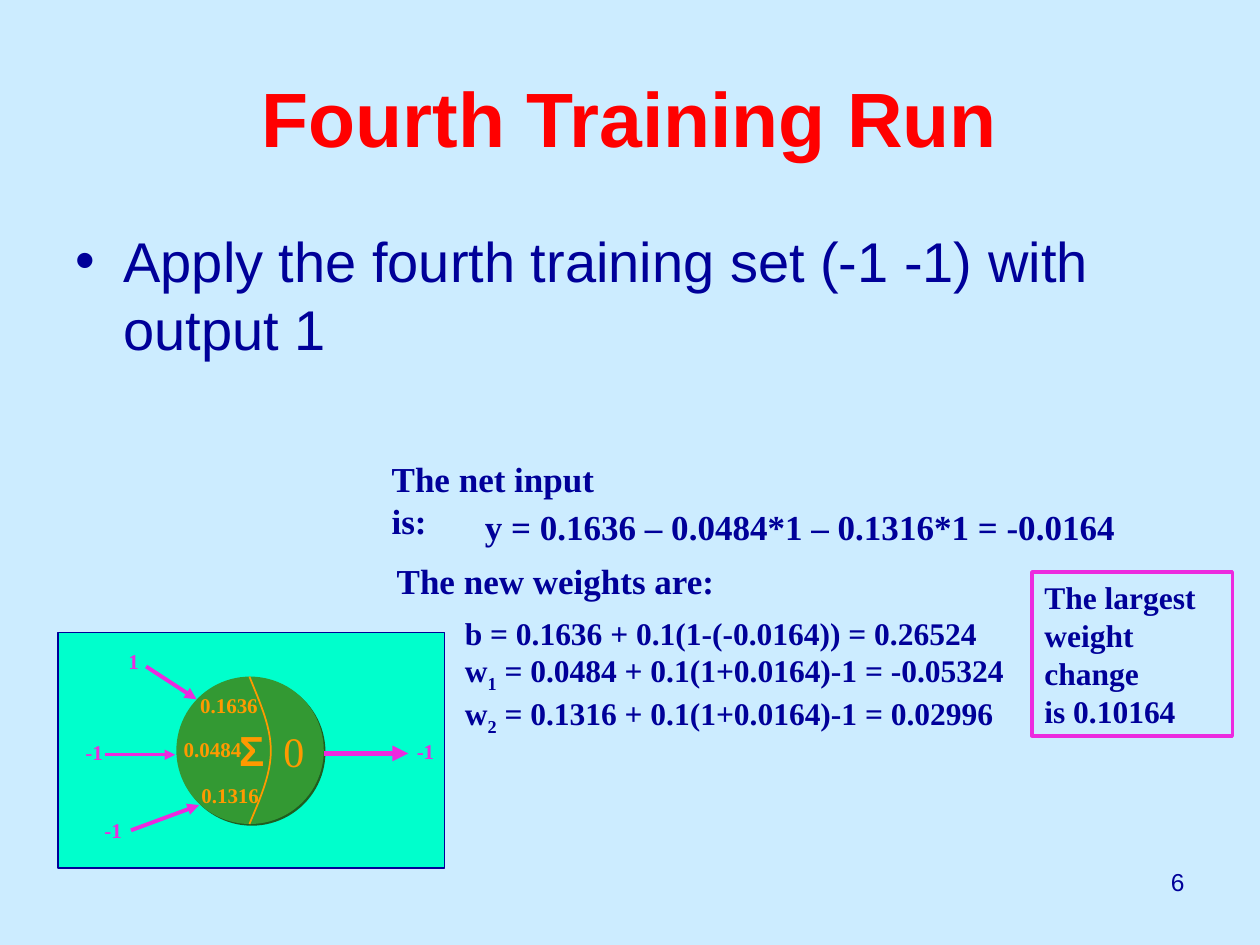
"""Build the 'Fourth Training Run' slide with its neuron diagram and weight updates."""
from lxml.etree import SubElement
from pptx import Presentation
from pptx.dml.color import RGBColor
from pptx.enum.shapes import MSO_CONNECTOR, MSO_SHAPE
from pptx.enum.text import MSO_ANCHOR, MSO_AUTO_SIZE, PP_ALIGN
from pptx.oxml.ns import qn
from pptx.util import Inches, Pt

THEME = {
    "sans": "Arial", "serif": "Times New Roman",
    "paper": "CCECFF", "title": "FF0000", "ink": "000099", "panel": "00FFCC",
    "cell": "339933", "cell_shadow": "1F5C1F", "weight": "FF9900", "signal": "EC2ADE",
    "title_pt": 44, "body_pt": 32, "symbol_pt": 24, "step_pt": 20,
    "formula_pt": 18, "number_pt": 14, "label_pt": 12,
}
TITLE = "Fourth Training Run"
BODY = "Apply the fourth training set (-1 -1) with output 1"
PAGE = "6"
STEPS = [
    ("The net input is:", (3.01, 3.58, 2.15, 0.44)),
    ("y = 0.1636 – 0.0484*1 – 0.1316*1 = -0.0164", (3.75, 3.96, 5.2, 0.44)),
    ("The new weights are:", (3.05, 4.39, 2.73, 0.44)),
]
FORMULAS = [
    ("b", "", " = 0.1636 + 0.1(1-(-0.0164)) = 0.26524"),
    ("w", "1", " = 0.0484 + 0.1(1+0.0164)-1 = -0.05324"),
    ("w", "2", " = 0.1316 + 0.1(1+0.0164)-1 = 0.02996"),
]
CHANGE = ["The largest weight change", "is 0.10164"]
WEIGHTS = [("0.1636", 1.49, 5.45), ("0.0484", 1.36, 5.8), ("0.1316", 1.5, 6.16)]
SIGNALS = [("1", 0.92, 5.1, 0.28), ("-1", 0.58, 5.82, 0.34),
           ("-1", 0.73, 6.44, 0.34), ("-1", 3.21, 5.81, 0.34)]
SYMBOLS = [("Σ", (1.8, 5.7, 0.39, 0.5), "sans", True),
           ("0", (2.15, 5.71, 0.36, 0.5), "serif", False)]
ARROWS = [((1.16, 5.29), (1.56, 5.55), 2.25), ((0.83, 5.99), (1.39, 5.99), 1.5),
          ((1.04, 6.59), (1.58, 6.39), 2.25), ((2.57, 5.98), (3.24, 5.98), 3)]
CURVES = [((1.98, 5.37), (2.06, 5.57), (2.15, 5.76), (2.15, 5.96)),
          ((2.15, 5.96), (2.15, 6.15), (2.06, 6.35), (1.98, 6.54))]
CURVE_STEPS = 12


def color(name):
    return RGBColor.from_string(THEME[name])


def inches(values):
    return [Inches(v) for v in values]


def style(tf, size, ink="ink", font="serif", bold=True, align=None):
    for p in tf.paragraphs:
        p.alignment = align
        for r in p.runs:
            r.font.name = THEME[font]
            r.font.size = Pt(THEME[size])
            r.font.bold = bold
            r.font.color.rgb = color(ink)


def add_text(shapes, text, box, size, wrap=False, **look):
    tf = shapes.add_textbox(*inches(box)).text_frame
    tf.word_wrap = wrap
    tf.auto_size = MSO_AUTO_SIZE.NONE if wrap else MSO_AUTO_SIZE.SHAPE_TO_FIT_TEXT
    tf.text = text
    style(tf, size, **look)
    return tf


def add_box(shapes, kind, box, fill, line=None, width=0):
    sp = shapes.add_shape(kind, *inches(box))
    sp.fill.solid()
    sp.fill.fore_color.rgb = color(fill)
    if line:
        sp.line.color.rgb = color(line)
        sp.line.width = Pt(width)
    else:
        sp.line.fill.background()
    sp.shadow.inherit = False
    return sp


def add_arrow(shapes, start, end, width):
    line = shapes.add_connector(MSO_CONNECTOR.STRAIGHT, *inches(start + end))
    line.line.color.rgb = color("signal")
    line.line.width = Pt(width)
    SubElement(line.line._get_or_add_ln(), qn("a:tailEnd"), type="triangle")
    SubElement(line._element.spPr, qn("a:effectLst"))


def bezier(points, t):
    factors = ((1 - t) ** 3, 3 * t * (1 - t) ** 2, 3 * t * t * (1 - t), t ** 3)
    return [Inches(sum(f * pt[axis] for f, pt in zip(factors, points))) for axis in (0, 1)]


def add_divider(shapes):
    points = [bezier(c, i / CURVE_STEPS) for c in CURVES for i in range(1, CURVE_STEPS + 1)]
    builder = shapes.build_freeform(*inches(CURVES[0][0]))
    builder.add_line_segments(points, close=False)
    sp = builder.convert_to_shape()
    sp.fill.background()
    sp.line.color.rgb = color("weight")
    sp.line.width = Pt(1)
    sp.shadow.inherit = False


def add_neuron(shapes):
    add_box(shapes, MSO_SHAPE.RECTANGLE, (0.46, 5.02, 3.07, 1.87), "panel", "ink", 0.75)
    cell = add_box(shapes, MSO_SHAPE.OVAL, (1.4, 5.37, 1.17, 1.17), "cell")
    effects = cell._element.spPr.find(qn("a:effectLst"))
    shadow = SubElement(effects, qn("a:outerShdw"), dist=str(Pt(1.4)), dir="2700000",
                        algn="ctr", rotWithShape="0")
    SubElement(shadow, qn("a:srgbClr"), val=THEME["cell_shadow"])
    add_divider(shapes)
    for text, box, font, bold in SYMBOLS:
        add_text(shapes, text, box, "symbol_pt", ink="weight", font=font, bold=bold)
    for text, x, y in WEIGHTS:
        add_text(shapes, text, (x, y, 0.66, 0.3), "label_pt", ink="weight")
    for arrow in ARROWS:
        add_arrow(shapes, *arrow)
    for text, x, y, w in SIGNALS:
        add_text(shapes, text, (x, y, w, 0.3), "label_pt", ink="signal")


def add_formulas(shapes):
    tf = add_text(shapes, "", (3.59, 4.82, 4.48, 1.08), "formula_pt")
    for i, (name, index, rest) in enumerate(FORMULAS):
        p = tf.add_paragraph() if i else tf.paragraphs[0]
        for text in filter(None, (name, index, rest)):
            r = p.add_run()
            r.text = text
            if text == index:
                r.font._element.set("baseline", "-25000")
    style(tf, "formula_pt")


def fill_placeholder(sp, text, box, size, **look):
    sp.left, sp.top, sp.width, sp.height = inches(box)
    tf = sp.text_frame
    tf.text = text
    tf.auto_size = MSO_AUTO_SIZE.NONE
    style(tf, size, font="sans", **look)
    return tf


def add_bullet(p):
    p.space_before = Pt(8)
    pPr = p._p.get_or_add_pPr()
    pPr.set("marL", str(Inches(0.38)))
    pPr.set("indent", str(Inches(-0.38)))
    SubElement(SubElement(pPr, qn("a:buClr")), qn("a:srgbClr"), val=THEME["ink"])
    SubElement(pPr, qn("a:buFont"), typeface=THEME["sans"])
    SubElement(pPr, qn("a:buChar"), char="•")


def main():
    prs = Presentation()
    prs.slide_width, prs.slide_height = Inches(10), Inches(7.5)
    s = prs.slides.add_slide(prs.slide_layouts[1])
    s.background.fill.solid()
    s.background.fill.fore_color.rgb = color("paper")
    title = fill_placeholder(s.shapes.title, TITLE, (0.5, 0.3, 9, 1.25), "title_pt",
                             ink="title", align=PP_ALIGN.CENTER)
    title.vertical_anchor = MSO_ANCHOR.MIDDLE
    body = fill_placeholder(s.placeholders[1], BODY, (0.5, 1.75, 9, 1.48), "body_pt", bold=False)
    add_bullet(body.paragraphs[0])
    add_neuron(s.shapes.add_group_shape().shapes)
    for text, box in STEPS:
        add_text(s.shapes, text, box, "step_pt")
    add_formulas(s.shapes)
    change = add_box(s.shapes, MSO_SHAPE.RECTANGLE, (8.19, 4.54, 1.59, 1.3), "paper", "signal", 2)
    tf = change.text_frame
    tf.word_wrap = True
    tf.vertical_anchor = MSO_ANCHOR.TOP
    tf.text = "\n".join(CHANGE)
    style(tf, "formula_pt", align=PP_ALIGN.LEFT)
    add_text(s.shapes, PAGE, (7.17, 6.83, 2.33, 0.52), "number_pt", wrap=True,
             font="sans", bold=False, align=PP_ALIGN.RIGHT)
    prs.save("out.pptx")


if __name__ == "__main__":
    main()
